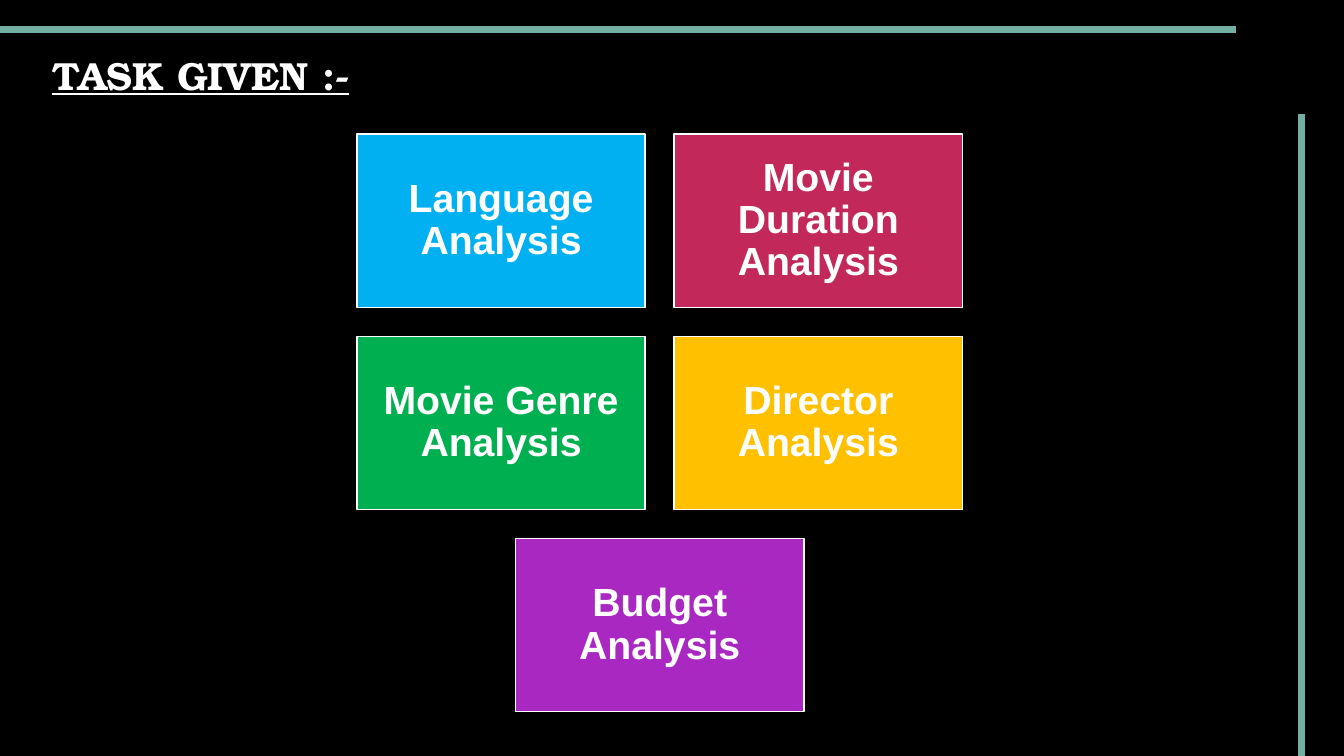
"""Build the task slide: a title, two accent rules and five analysis cards."""
from pptx import Presentation
from pptx.dml.color import RGBColor
from pptx.enum.shapes import MSO_CONNECTOR, MSO_SHAPE
from pptx.enum.text import MSO_ANCHOR, MSO_AUTO_SIZE, PP_ALIGN
from pptx.oxml.xmlchemy import OxmlElement
from pptx.util import Pt

COLORS = {
    "black": "000000",
    "white": "FFFFFF",
    "teal": "73AFA3",
    "blue": "00B0F0",
    "red": "C22859",
    "green": "00B050",
    "gold": "FFC000",
    "purple": "AA28C2",
}


def color(name):
    return RGBColor.from_string(COLORS[name])


def style(font, face):
    font.name = face
    font.size = Pt(28)
    font.bold = True
    font.color.rgb = color("white")


deck = Presentation()
deck.slide_width, deck.slide_height = Pt(960), Pt(540)
slide = deck.slides.add_slide(deck.slide_layouts[6])
slide.background.fill.solid()
slide.background.fill.fore_color.rgb = color("black")

cards = [
    ("Language Analysis", "blue", 0, 0),
    ("Movie Duration Analysis", "red", 1, 0),
    ("Movie Genre Analysis", "green", 0, 1),
    ("Director Analysis", "gold", 1, 1),
    ("Budget Analysis", "purple", 0.5, 2),
]
left, top = 254.9, 95.8
wide, high = 206, 123.8
gap = 20.6

for text, fill, col, row in cards:
    x = left + col * (wide + gap)
    y = top + row * (high + gap)
    card = slide.shapes.add_shape(
        MSO_SHAPE.RECTANGLE, Pt(x), Pt(y), Pt(wide), Pt(high)
    )
    card.shadow.inherit = False
    card.fill.solid()
    card.fill.fore_color.rgb = color(fill)
    card.line.color.rgb = color("white")
    card.line.width = Pt(1)
    frame = card.text_frame
    frame.word_wrap = True
    frame.vertical_anchor = MSO_ANCHOR.MIDDLE
    frame.margin_left = frame.margin_right = Pt(8.4)
    frame.margin_top = frame.margin_bottom = Pt(8.4)
    para = frame.paragraphs[0]
    para.text = text
    para.alignment = PP_ALIGN.CENTER
    para.line_spacing = 0.9
    style(para.font, "Arial")

title = slide.shapes.add_textbox(Pt(30.4), Pt(33.1), Pt(523.4), Pt(41))
title.text_frame.word_wrap = True
title.text_frame.auto_size = MSO_AUTO_SIZE.SHAPE_TO_FIT_TEXT
para = title.text_frame.paragraphs[0]
para.text = "TASK GIVEN :-"
style(para.font, "TeX Gyre Bonum")
para.font.underline = True

for ends in [(929.5, 81.4, 929.5, 540), (0, 20.9, 882.7, 20.9)]:
    rule = slide.shapes.add_connector(
        MSO_CONNECTOR.STRAIGHT, *[Pt(end) for end in ends]
    )
    rule.line.color.rgb = color("teal")
    rule.line.width = Pt(5)
    rule.element.spPr.append(OxmlElement("a:effectLst"))

deck.save("out.pptx")
